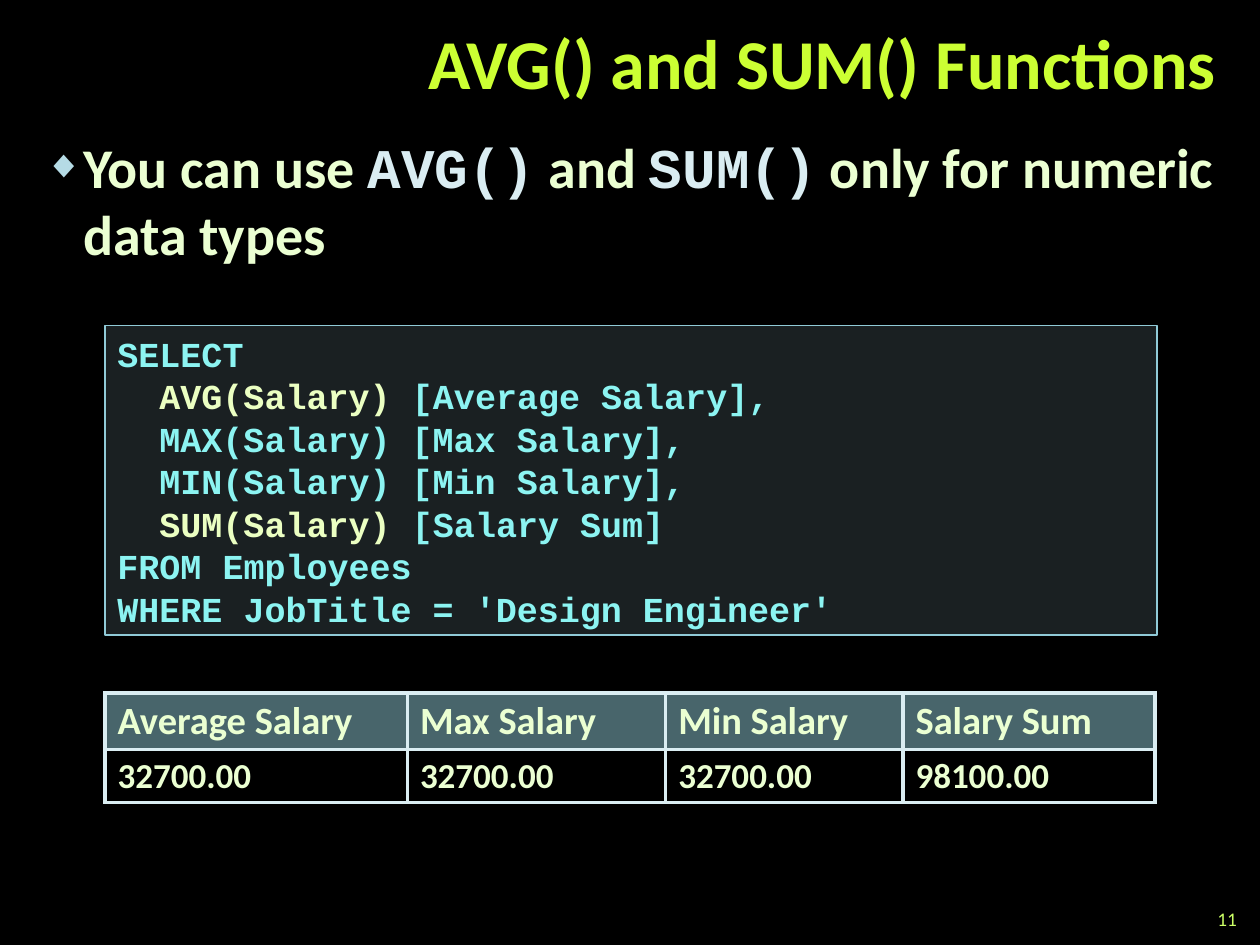
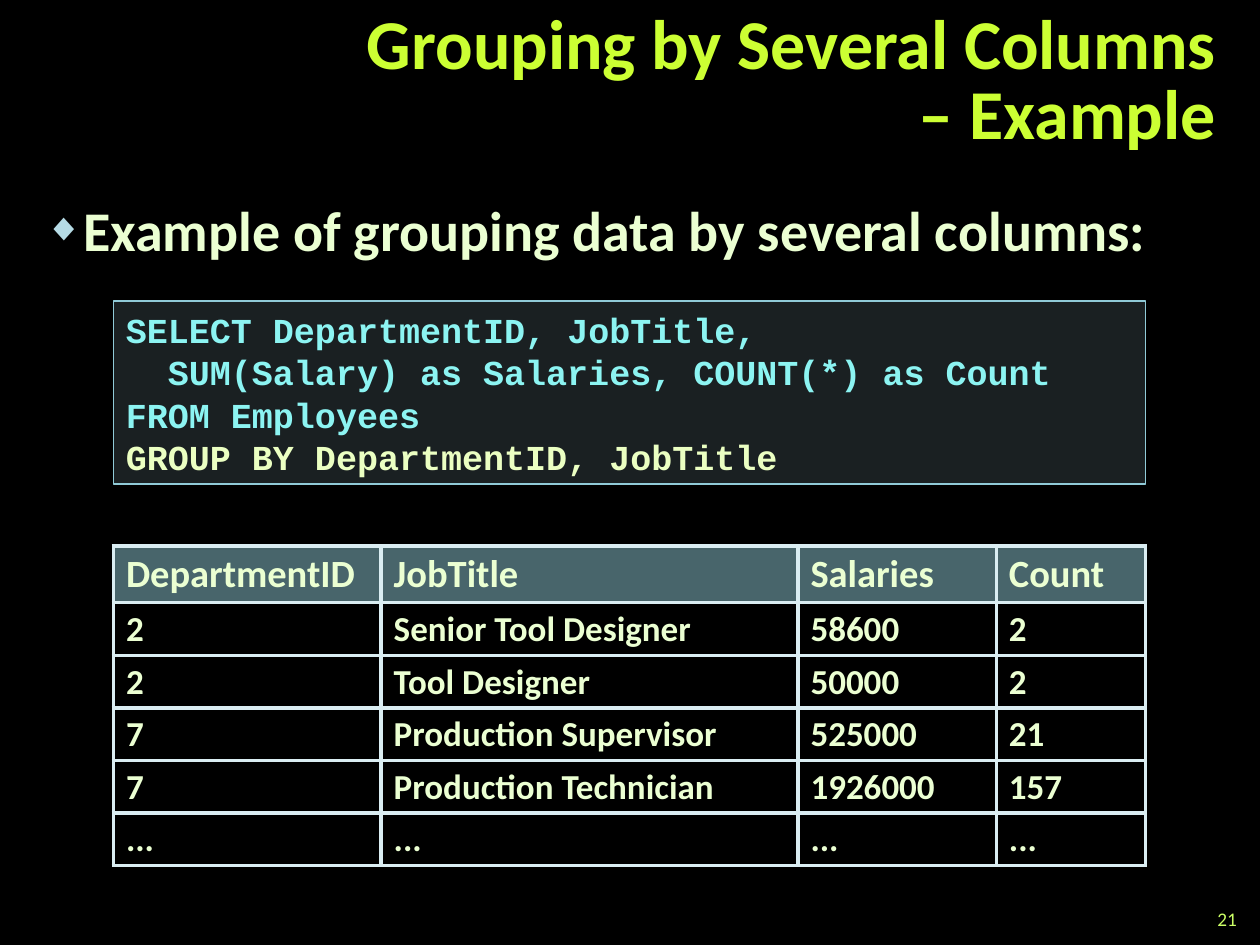
from lxml.etree import SubElement
from pptx import Presentation
from pptx.dml.color import RGBColor
from pptx.enum.shapes import MSO_SHAPE as Preset
from pptx.enum.text import MSO_ANCHOR as Anchor, MSO_AUTO_SIZE as Fit, PP_ALIGN as Align
from pptx.oxml.ns import qn
from pptx.util import Inches, Pt

COLORS = {
    "background": "000000", "title": "CCFF33", "text": "EBFFD2", "function": "DAEDF2",
    "bullet": "B5DBE5", "number": "CCFF66", "code": "8CF4F2", "highlight": "EBFFC2",
    "line": "90CAD7", "border": "DAEDF2",
}
RGB = {name: RGBColor.from_string(value) for name, value in COLORS.items()}
SANS, MONO = "Calibri", "Courier New"
HEADER_ROW, DATA_ROW = 5.4, 5  # grid rows

# Positions and sizes are in grid units: 120 columns by 90 rows.
PAGES = [
    {
        "number": "11",
        "title": "AVG() and SUM() Functions",
        "title_at": (24, 1, 93, 11),
        "body_at": (3, 12, 114, 76),
        "body": [("You can use ", "text"), ("AVG()", "function"), (" and ", "text"),
                 ("SUM()", "function"), (" only for numeric data types", "text")],
        "code_at": (10, 31, 100.2, 29.5),
        "code": [
            (0, [("SELECT", "code")]),
            (2, [("AVG(Salary)", "highlight"), (" [Average Salary],", "code")]),
            (2, [("MAX(Salary) [Max Salary],", "code")]),
            (2, [("MIN(Salary) [Min Salary],", "code")]),
            (2, [("SUM(Salary)", "highlight"), (" [Salary Sum]", "code")]),
            (0, [("FROM Employees", "code")]),
            (0, [("WHERE JobTitle = 'Design Engineer'", "code")]),
        ],
        "table_at": (10, 66),
        "columns": (28.8, 24.6, 22.6, 24),
        "rows": [
            ("Average Salary", "Max Salary", "Min Salary", "Salary Sum"),
            ("32700.00", "32700.00", "32700.00", "98100.00"),
        ],
    },
    {
        "number": "21",
        "title": "Grouping by Several Columns – Example",
        "title_at": (33, 2, 84, 12),
        "body_at": (3, 18, 114, 70),
        "body": [("Example of grouping data by several columns:", "text")],
        "code_at": (10.8, 28.7, 98.3, 17.4),
        "code": [
            (0, [("SELECT DepartmentID, JobTitle,", "code")]),
            (2, [("SUM(Salary) as Salaries, COUNT(*) as Count", "code")]),
            (0, [("FROM Employees", "code")]),
            (0, [("GROUP BY DepartmentID, JobTitle", "highlight")]),
        ],
        "table_at": (10.8, 52),
        "columns": (25.5, 39.7, 18.9, 14.2),
        "rows": [
            ("DepartmentID", "JobTitle", "Salaries", "Count"),
            ("2", "Senior Tool Designer", "58600", "2"),
            ("2", "Tool Designer", "50000", "2"),
            ("7", "Production Supervisor", "525000", "21"),
            ("7", "Production Technician", "1926000", "157"),
            ("...", "...", "...", "..."),
        ],
    },
]


def style_run(span, size, color, font=SANS, bold=True):
    """Set the font, size, weight and colour of one run."""
    span.font.name = font
    span.font.size = Pt(size)
    span.font.bold = bold
    span.font.color.rgb = RGB[color]


def add_xml(parent, tag, **attributes):
    """Append a drawing element with the given attributes."""
    return SubElement(parent, qn("a:" + tag), attributes)


deck = Presentation()
deck.slide_width, deck.slide_height = Inches(10), Inches(7.5)
unit = deck.slide_width / 120
master_fill = deck.slide_master.background.fill
master_fill.solid()
master_fill.fore_color.rgb = RGB["background"]

for content in PAGES:
    page = deck.slides.add_slide(deck.slide_layouts[1])

    # Title and body placeholders
    title, body = page.shapes.title, page.placeholders[1]
    for holder, area in ((title, content["title_at"]), (body, content["body_at"])):
        holder.left, holder.top, holder.width, holder.height = [int(n * unit) for n in area]
        holder.text_frame.auto_size = Fit.NONE
    title.text_frame.text = content["title"]
    title.text_frame.vertical_anchor = Anchor.MIDDLE
    para = title.text_frame.paragraphs[0]
    para.alignment = Align.RIGHT
    para.line_spacing = Pt(40)
    style_run(para.runs[0], 40, "title")

    para = body.text_frame.paragraphs[0]
    para.space_before = para.space_after = Pt(6)
    for text, color in content["body"]:
        span = para.add_run()
        span.text = text
        style_run(span, 32, color, MONO if color == "function" else SANS)
    props = para._p.get_or_add_pPr()
    props.set("marL", str(Inches(0.31)))
    props.set("indent", str(-Inches(0.31)))
    add_xml(add_xml(props, "buClr"), "srgbClr", val=COLORS["bullet"])
    add_xml(props, "buSzPct", val="70000")
    add_xml(props, "buChar", char="◆")

    # Slide number
    box = page.shapes.add_textbox(*[int(n * unit) for n in (113, 86, 6, 3)])
    box.text_frame.word_wrap = True
    box.text_frame.vertical_anchor = Anchor.MIDDLE
    box.text_frame.text = content["number"]
    para = box.text_frame.paragraphs[0]
    para.alignment = Align.RIGHT
    style_run(para.runs[0], 11, "number", bold=False)

    # Code panel
    panel = page.shapes.add_shape(Preset.RECTANGLE, *[int(n * unit) for n in content["code_at"]])
    panel.shadow.inherit = False
    panel.fill.solid()
    panel.fill.fore_color.rgb = RGB["bullet"]
    add_xml(panel._element.spPr.find(".//" + qn("a:srgbClr")), "alpha", val="15000")
    panel.line.color.rgb = RGB["line"]
    panel.line.width = Pt(1)
    frame = panel.text_frame
    frame.word_wrap = True
    frame.auto_size = Fit.SHAPE_TO_FIT_TEXT
    frame.vertical_anchor = Anchor.TOP
    for index, (indent, parts) in enumerate(content["code"]):
        para = frame.paragraphs[0] if index == 0 else frame.add_paragraph()
        para.alignment = Align.LEFT
        para.line_spacing = Pt(24.3)
        para._p.get_or_add_pPr().set("marL", str(Pt(12 * indent)))
        for text, color in parts:
            span = para.add_run()
            span.text = text
            style_run(span, 20, color, MONO)

    # Result table
    rows, columns = content["rows"], content["columns"]
    heights = [HEADER_ROW] + [DATA_ROW] * (len(rows) - 1)
    area = (*content["table_at"], sum(columns), sum(heights))
    table = page.shapes.add_table(len(rows), len(columns), *[int(n * unit) for n in area]).table
    table.horz_banding = False
    for column, width in zip(table.columns, columns):
        column.width = int(width * unit)
    for r, values in enumerate(rows):
        table.rows[r].height = int(heights[r] * unit)
        for c, value in enumerate(values):
            cell = table.cell(r, c)
            cell.text_frame.text = value
            para = cell.text_frame.paragraphs[0]
            para.line_spacing = 0.95
            style_run(para.runs[0], 22 if r == 0 else 20, "text")
            props = cell._tc.get_or_add_tcPr()
            for side in ("lnL", "lnR", "lnT", "lnB"):
                edge = add_xml(props, side, w=str(Pt(2.25)))
                add_xml(add_xml(edge, "solidFill"), "srgbClr", val=COLORS["border"])
            if r == 0:
                cell.fill.solid()
                cell.fill.fore_color.rgb = RGB["line"]
                tint = props.find(qn("a:solidFill") + "/" + qn("a:srgbClr"))
                add_xml(tint, "alpha", val="50000")
            else:
                cell.fill.background()

deck.save("out.pptx")
